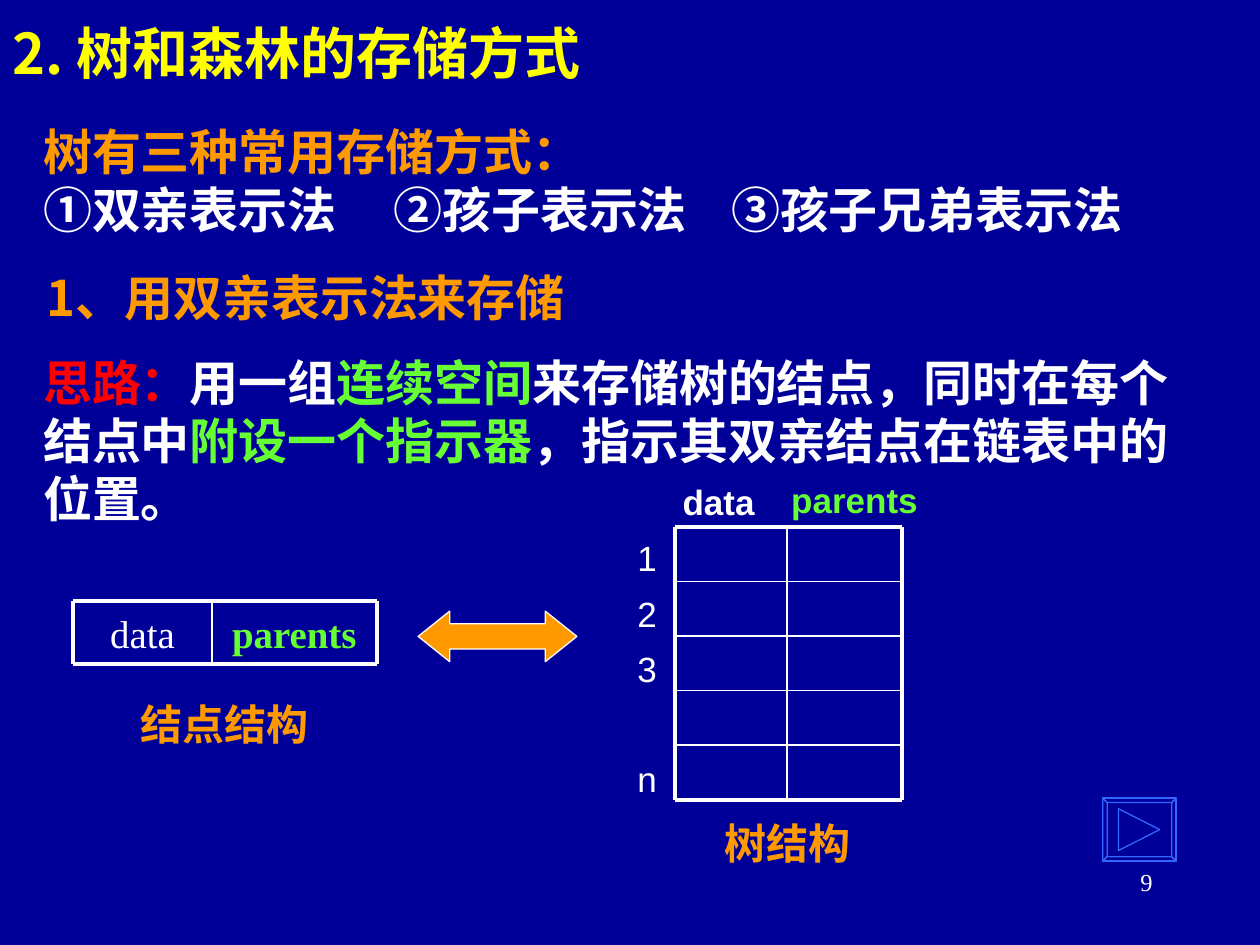
from itertools import accumulate

from lxml import etree
from pptx import Presentation
from pptx.dml.color import RGBColor
from pptx.enum.shapes import MSO_CONNECTOR, MSO_SHAPE
from pptx.enum.text import MSO_ANCHOR, MSO_AUTO_SIZE, PP_ALIGN
from pptx.oxml.ns import qn
from pptx.util import Cm, Pt

COLORS = {
    "background": "000099",
    "title": "FFFF00",
    "heading": "FF9900",
    "text": "FFFFFF",
    "key": "66FF33",
    "idea": "FF0000",
    "button": "3366FF",
}
CHINESE_FONT = "Noto Sans CJK SC"
SERIF = "Times New Roman"
FORMATS = {
    "title": {"name": CHINESE_FONT, "size": Pt(32), "bold": True},
    "section": {"name": CHINESE_FONT, "size": Pt(28), "bold": True},
    "body": {"name": SERIF, "size": Pt(28), "bold": True},
    "caption": {"name": SERIF, "size": Pt(24), "bold": True},
    "field": {"name": SERIF, "size": Pt(22.2), "bold": False},
    "key field": {"name": SERIF, "size": Pt(22.2), "bold": True},
    "column": {"name": "Arial", "size": Pt(20), "bold": True},
    "index": {"name": "Arial", "size": Pt(20), "bold": False},
    "page": {"name": SERIF, "size": Pt(14), "bold": False},
}
CHINESE_LINE = 1.19
THICK, THIN = Pt(2.25), Pt(1)


def rgb(color):
    return RGBColor.from_string(COLORS[color])


def add_run(paragraph, text, color, style):
    run = paragraph.add_run()
    run.text = text
    for attribute, value in FORMATS[style].items():
        setattr(run.font, attribute, value)
    run.font.color.rgb = rgb(color)
    east_asian = etree.SubElement(run.font._element, qn("a:ea"))
    east_asian.set("typeface", CHINESE_FONT)


def add_tabs(paragraph, positions):
    tabs = etree.SubElement(paragraph._p.get_or_add_pPr(), qn("a:tabLst"))
    for position in positions:
        etree.SubElement(tabs, qn("a:tab"), pos=str(Cm(position)), algn="l")


def add_text(slide, box, paragraphs, style, wrap=True, chinese=False,
             anchor=MSO_ANCHOR.TOP, align=PP_ALIGN.LEFT, tabs=()):
    """Add a text box; each paragraph is a list of (text, color) runs."""
    frame = slide.shapes.add_textbox(*map(Cm, box)).text_frame
    frame.word_wrap = wrap
    frame.auto_size = MSO_AUTO_SIZE.NONE if wrap else MSO_AUTO_SIZE.SHAPE_TO_FIT_TEXT
    frame.vertical_anchor = anchor
    for number, runs in enumerate(paragraphs):
        paragraph = frame.add_paragraph() if number else frame.paragraphs[0]
        paragraph.alignment = align
        if chinese:
            paragraph.line_spacing = Pt(CHINESE_LINE * FORMATS[style]["size"].pt)
        if tabs:
            add_tabs(paragraph, tabs)
        for text, color in runs:
            add_run(paragraph, text, color, style)


def add_label(slide, box, text, color, style, chinese=False):
    add_text(slide, box, [[(text, color)]], style, wrap=False, chinese=chinese)


def add_line(slide, start, end, width):
    line = slide.shapes.add_connector(MSO_CONNECTOR.STRAIGHT, *map(Cm, start + end))
    line.line.color.rgb = rgb("text")
    line.line.width = width
    etree.SubElement(line._element.spPr, qn("a:effectLst"))


def add_grid(slide, left, top, column_widths, row_heights):
    """Rule a grid with a thick frame and thin inner lines."""
    xs = list(accumulate(column_widths, initial=left))
    ys = list(accumulate(row_heights, initial=top))
    for y in ys:
        add_line(slide, (left, y), (xs[-1], y), THICK if y in (top, ys[-1]) else THIN)
    for x in xs:
        add_line(slide, (x, top), (x, ys[-1]), THICK if x in (left, xs[-1]) else THIN)


def add_double_arrow(slide, box):
    arrow = slide.shapes.add_shape(MSO_SHAPE.LEFT_RIGHT_ARROW, *map(Cm, box))
    arrow.adjustments[0], arrow.adjustments[1] = 0.5, 0.625
    arrow.shadow.inherit = False
    arrow.fill.solid()
    arrow.fill.fore_color.rgb = rgb("heading")
    arrow.line.color.rgb = rgb("text")
    arrow.line.width = Pt(0.75)


def add_next_button(slide, left, top, width, height, bevel):
    """Outline a bevelled button with a triangle pointing right."""
    right, bottom = left + width, top + height
    outer = [(left, top), (right, top), (right, bottom), (left, bottom)]
    inner = [(left + bevel, top + bevel), (right - bevel, top + bevel),
             (right - bevel, bottom - bevel), (left + bevel, bottom - bevel)]
    sides = [[outer[i], outer[(i + 1) % 4], inner[(i + 1) % 4], inner[i]]
             for i in range(4)]
    middle = top + height / 2
    triangle = [(left + 0.32, middle - 0.42), (right - 0.33, middle),
                (left + 0.32, middle + 0.42)]
    builder = slide.shapes.build_freeform(Cm(left), Cm(top))
    for contour in [outer, *sides, triangle]:
        start, *others = [(Cm(x), Cm(y)) for x, y in contour]
        builder.move_to(*start)
        builder.add_line_segments(others, close=True)
    button = builder.convert_to_shape()
    button.shadow.inherit = False
    button.fill.background()
    button.line.color.rgb = rgb("button")
    button.line.width = Pt(0.75)


def add_introduction(slide):
    add_text(slide, (0, 0, 17.58, 2.11), [[("2. 树和森林的存储方式", "title")]],
             "title", anchor=MSO_ANCHOR.MIDDLE)
    add_text(slide, (0.62, 2.34, 23.7, 3.81), [
        [("树有三种常用存储方式：", "heading")],
        [("①双亲表示法\t②孩子表示法\t③孩子兄弟表示法", "text")],
    ], "body", chinese=True, tabs=(7.06, 13.87))
    add_label(slide, (0.69, 5.28, 11.5, 1.45), "1、用双亲表示法来存储",
              "heading", "section", chinese=True)
    add_text(slide, (0.62, 6.99, 24.13, 3.81), [[
        ("思路：", "idea"),
        ("用一组", "text"),
        ("连续空间", "key"),
        ("来存储树的结点，同时在每个结点中", "text"),
        ("附设一个指示器", "key"),
        ("，指示其双亲结点在链表中的位置。", "text"),
    ]], "body", chinese=True)


def add_node_structure(slide):
    left, top, height = 1.48, 12.12, 1.27
    widths = (2.79, 3.33)
    fields = [("data", "text", "field"), ("parents", "key", "key field")]
    for x, width, (text, color, style) in zip((left, left + widths[0]), widths, fields):
        add_text(slide, (x, top, width, height), [[(text, color)]], style,
                 anchor=MSO_ANCHOR.MIDDLE, align=PP_ALIGN.CENTER)
    add_grid(slide, left, top, widths, [height])
    add_label(slide, (2.59, 13.97, 3.89, 1.27), "结点结构", "heading", "caption", chinese=True)


def add_tree_structure(slide):
    add_grid(slide, 13.6, 10.62, (2.26, 2.33), [1.1] * 5)
    add_label(slide, (13.51, 9.57, 1.96, 1.12), "data", "text", "column")
    add_label(slide, (15.7, 9.53, 3.2, 1.12), "parents", "key", "column")
    for row, index in {0: "1", 1: "2", 2: "3", 4: "n"}.items():
        add_label(slide, (12.6, 10.7 + row * 1.11, 0.89, 1.12), index, "text", "index")
    add_label(slide, (14.35, 16.36, 3.45, 1.27), "树结构", "heading", "caption", chinese=True)


def main():
    presentation = Presentation()
    presentation.slide_width, presentation.slide_height = Cm(25.4), Cm(19.05)
    slide = presentation.slides.add_slide(presentation.slide_layouts[6])
    slide.background.fill.solid()
    slide.background.fill.fore_color.rgb = rgb("background")
    add_introduction(slide)
    add_next_button(slide, 22.23, 16.09, 1.48, 1.27, 0.09)
    add_node_structure(slide)
    add_double_arrow(slide, (8.43, 12.32, 3.2, 1.02))
    add_tree_structure(slide)
    add_text(slide, (18.21, 17.35, 5.28, 1.27), [[("9", "text")]], "page",
             align=PP_ALIGN.RIGHT)
    presentation.save("out.pptx")


if __name__ == "__main__":
    main()
